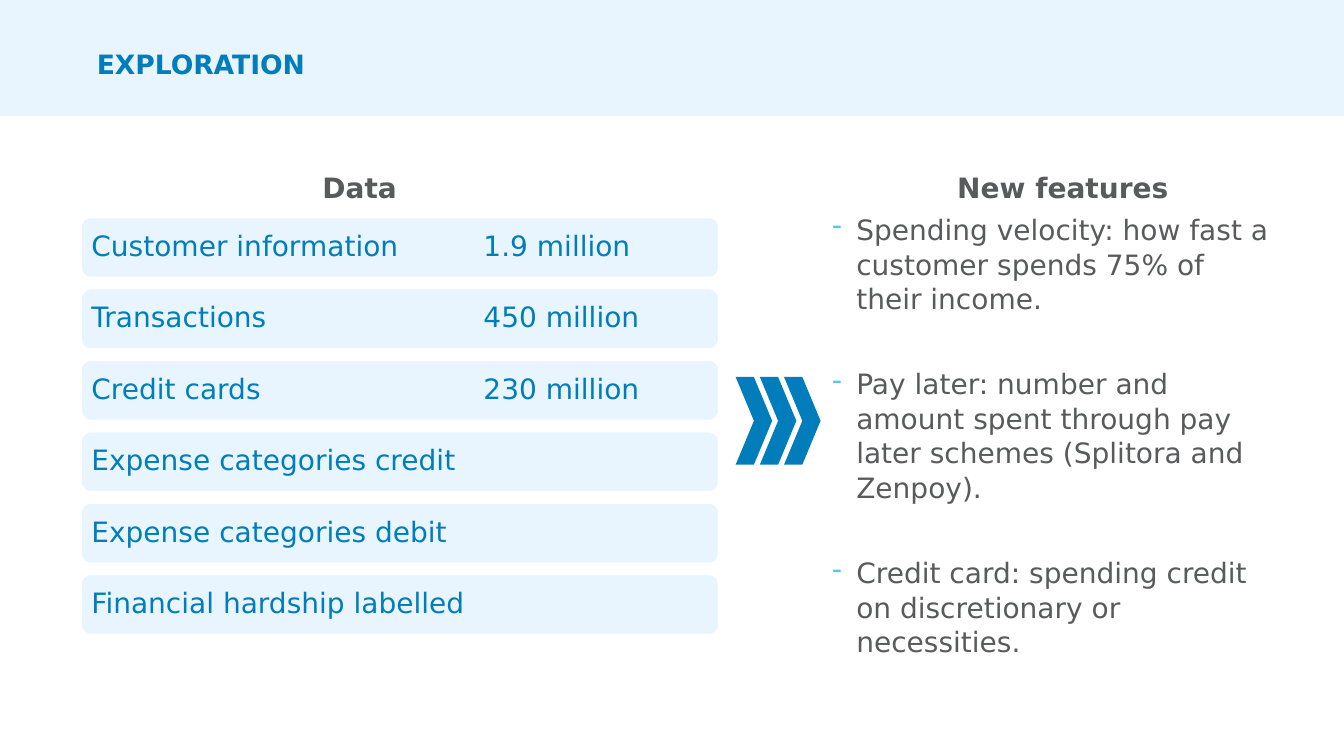
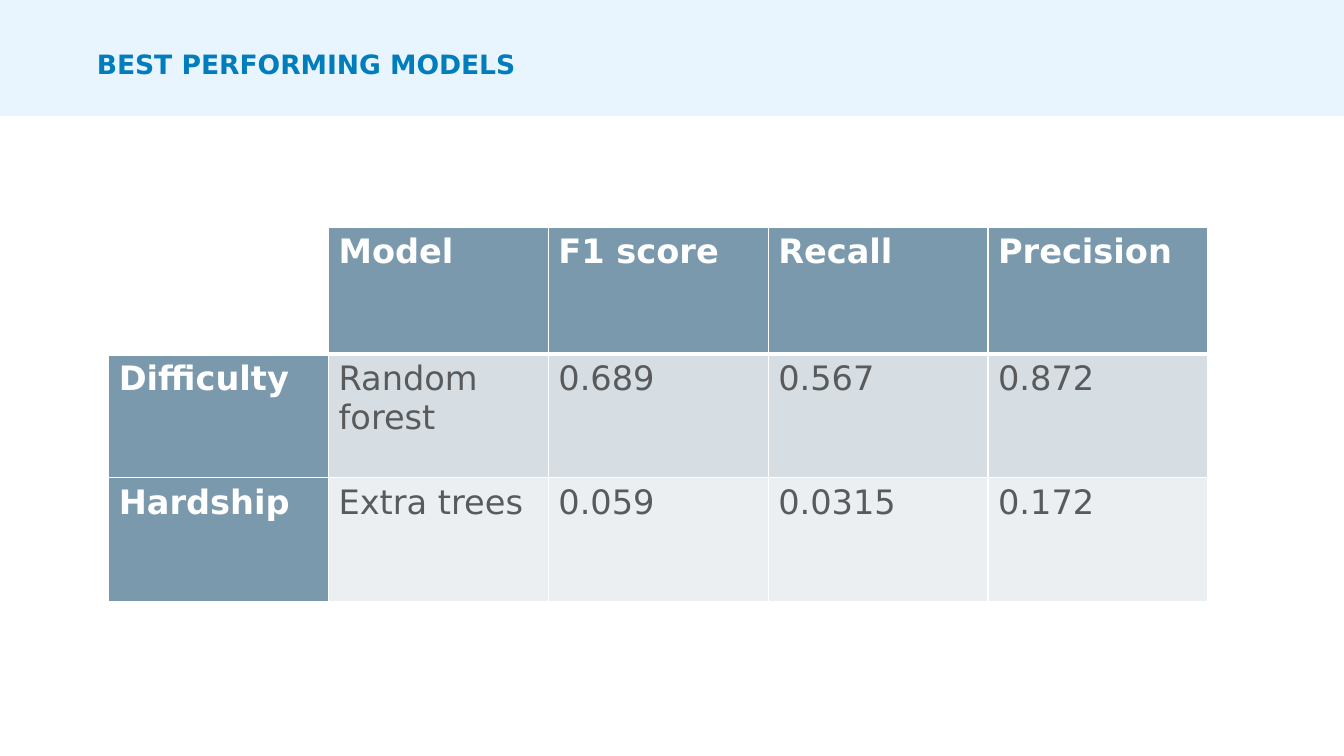
from lxml.etree import SubElement
from pptx import Presentation
from pptx.dml.color import RGBColor
from pptx.enum.shapes import MSO_SHAPE as Preset
from pptx.enum.text import MSO_ANCHOR as Anchor, MSO_AUTO_SIZE as AutoSize, PP_ALIGN as Align
from pptx.oxml.ns import qn
from pptx.util import Cm, Pt

COLORS = {
    "band": "E9F5FE",
    "accent": "007DBA",
    "dash": "5BC6E8",
    "text": "595A5B",
    "white": "FFFFFF",
    "header": "7A99AC",
    "odd_row": "D7DEE3",
    "even_row": "ECEFF1",
}
FONT = "DejaVu Sans"
TITLE_ONLY = 5


def color(name):
    return RGBColor.from_string(COLORS[name])


def add_solid_fill(parent, name):
    SubElement(SubElement(parent, qn("a:solidFill")), qn("a:srgbClr"), val=COLORS[name])


def write_text(frame, *texts, size=20, ink="text", bold=False, align=Align.LEFT,
               spacing=None, after=0, dash=False, tab=None):
    for index, text in enumerate(texts):
        paragraph = frame.add_paragraph() if index else frame.paragraphs[0]
        paragraph.alignment = align
        paragraph.space_before = Pt(0)
        paragraph.space_after = Pt(after)
        if spacing:
            paragraph.line_spacing = spacing
        run = paragraph.add_run()
        run.text = text
        run.font.name = FONT
        run.font.size = Pt(size)
        run.font.bold = bold
        run.font.color.rgb = color(ink)
        properties = paragraph._p.get_or_add_pPr()
        if dash:
            properties.set("marL", str(Cm(0.6)))
            properties.set("indent", str(-Cm(0.6)))
            bullet_color = SubElement(properties, qn("a:buClr"))
            SubElement(bullet_color, qn("a:srgbClr"), val=COLORS["dash"])
            SubElement(properties, qn("a:buChar"), char="-")
        if tab:
            stops = SubElement(properties, qn("a:tabLst"))
            SubElement(stops, qn("a:tab"), pos=str(Cm(tab)), algn="l")


def set_insets(frame, inset):
    frame.margin_left = frame.margin_right = Cm(inset)
    frame.margin_top = frame.margin_bottom = Cm(inset)


def set_borders(cell, **widths):
    properties = cell._tc.get_or_add_tcPr()
    for side in ("L", "R", "T", "B"):
        border = SubElement(properties, qn(f"a:ln{side}"), w=str(Pt(widths.get(side, 1))))
        add_solid_fill(border, "white")


class Deck:
    def __init__(self):
        self.presentation = Presentation()
        self.presentation.slide_width = Cm(33.87)
        self.presentation.slide_height = Cm(19.05)
        self.slide = None

    def new_slide(self, heading):
        layout = self.presentation.slide_layouts[TITLE_ONLY]
        self.slide = self.presentation.slides.add_slide(layout)
        band = self.shape(Preset.RECTANGLE, 0, 0, 33.87, 2.92, "band")
        self.slide.shapes.element.insert(2, band.element)
        title = self.slide.shapes.title
        title.left, title.top, title.width, title.height = Cm(2.44), Cm(1.27), Cm(29.64), Cm(0.87)
        frame = title.text_frame
        set_insets(frame, 0)
        frame.vertical_anchor = Anchor.TOP
        frame.auto_size = AutoSize.NONE
        write_text(frame, heading, size=19, ink="accent", bold=True, spacing=0.95)

    def shape(self, preset, left, top, width, height, fill):
        shape = self.slide.shapes.add_shape(preset, Cm(left), Cm(top), Cm(width), Cm(height))
        shape.shadow.inherit = False
        shape.fill.solid()
        shape.fill.fore_color.rgb = color(fill)
        shape.line.fill.background()
        return shape

    def text(self, left, top, width, height, *texts, **style):
        frame = self.slide.shapes.add_textbox(Cm(left), Cm(top), Cm(width), Cm(height)).text_frame
        frame.word_wrap = True
        set_insets(frame, 0)
        write_text(frame, *texts, **style)

    def card(self, left, top, width, height, label):
        card = self.shape(Preset.ROUNDED_RECTANGLE, left, top, width, height, "band")
        card.line.color.rgb = color("white")
        card.line.width = Pt(2)
        frame = card.text_frame
        frame.word_wrap = True
        frame.vertical_anchor = Anchor.MIDDLE
        set_insets(frame, 0.2)
        write_text(frame, label, ink="accent", spacing=0.9, tab=9.88)

    def table(self, left, top, column_width, row_heights, rows):
        width, height = column_width * len(rows[0]), sum(row_heights)
        table = self.slide.shapes.add_table(
            len(rows), len(rows[0]), Cm(left), Cm(top), Cm(width), Cm(height)).table
        table.first_row = table.horz_banding = False
        for column in table.columns:
            column.width = Cm(column_width)
        for r, (row_height, row) in enumerate(zip(row_heights, rows)):
            table.rows[r].height = Cm(row_height)
            for c, value in enumerate(row):
                cell = table.cell(r, c)
                set_borders(cell, T=3 if r == 1 else 1, B=3 if r == 0 else 1)
                is_header = r == 0 or c == 0
                fill = "header" if is_header else "odd_row" if r % 2 else "even_row"
                cell.fill.solid()
                cell.fill.fore_color.rgb = color(fill if value else "white")
                if value:
                    write_text(cell.text_frame, value, size=24,
                               ink="white" if is_header else "text", bold=is_header)


def add_exploration(deck):
    deck.new_slide("EXPLORATION")
    deck.text(20.98, 5.33, 11.13, 10.21,
              "Spending velocity: how fast a customer spends 75% of their income.",
              "Pay later: number and amount spent through pay later schemes (Splitora and Zenpoy).",
              "Credit card: spending credit on discretionary or necessities.",
              spacing=1.03, after=36, dash=True)
    datasets = [
        "Customer information\t1.9 million",
        "Transactions\t450 million",
        "Credit cards\t230 million",
        "Expense categories credit",
        "Expense categories debit",
        "Financial hardship labelled",
    ]
    for index, dataset in enumerate(datasets):
        deck.card(2.03, 5.46 + 1.8 * index, 16.1, 1.55, dataset)
    for index in range(3):
        deck.shape(Preset.CHEVRON, 18.54 + 0.61 * index, 9.5, 0.92, 2.21, "accent")
    deck.text(7.13, 4.29, 3.87, 0.97, "Data", bold=True, align=Align.CENTER)
    deck.text(23.63, 4.29, 6.31, 0.97, "New features", bold=True, align=Align.CENTER)


def add_best_models(deck):
    deck.new_slide("BEST PERFORMING MODELS")
    deck.table(2.74, 5.72, 5.54, [3.2, 3.12, 3.12], [
        ["", "Model", "F1 score", "Recall", "Precision"],
        ["Difficulty", "Random forest", "0.689", "0.567", "0.872"],
        ["Hardship", "Extra trees", "0.059", "0.0315", "0.172"],
    ])


def main():
    deck = Deck()
    add_exploration(deck)
    add_best_models(deck)
    deck.presentation.save("out.pptx")


if __name__ == "__main__":
    main()
